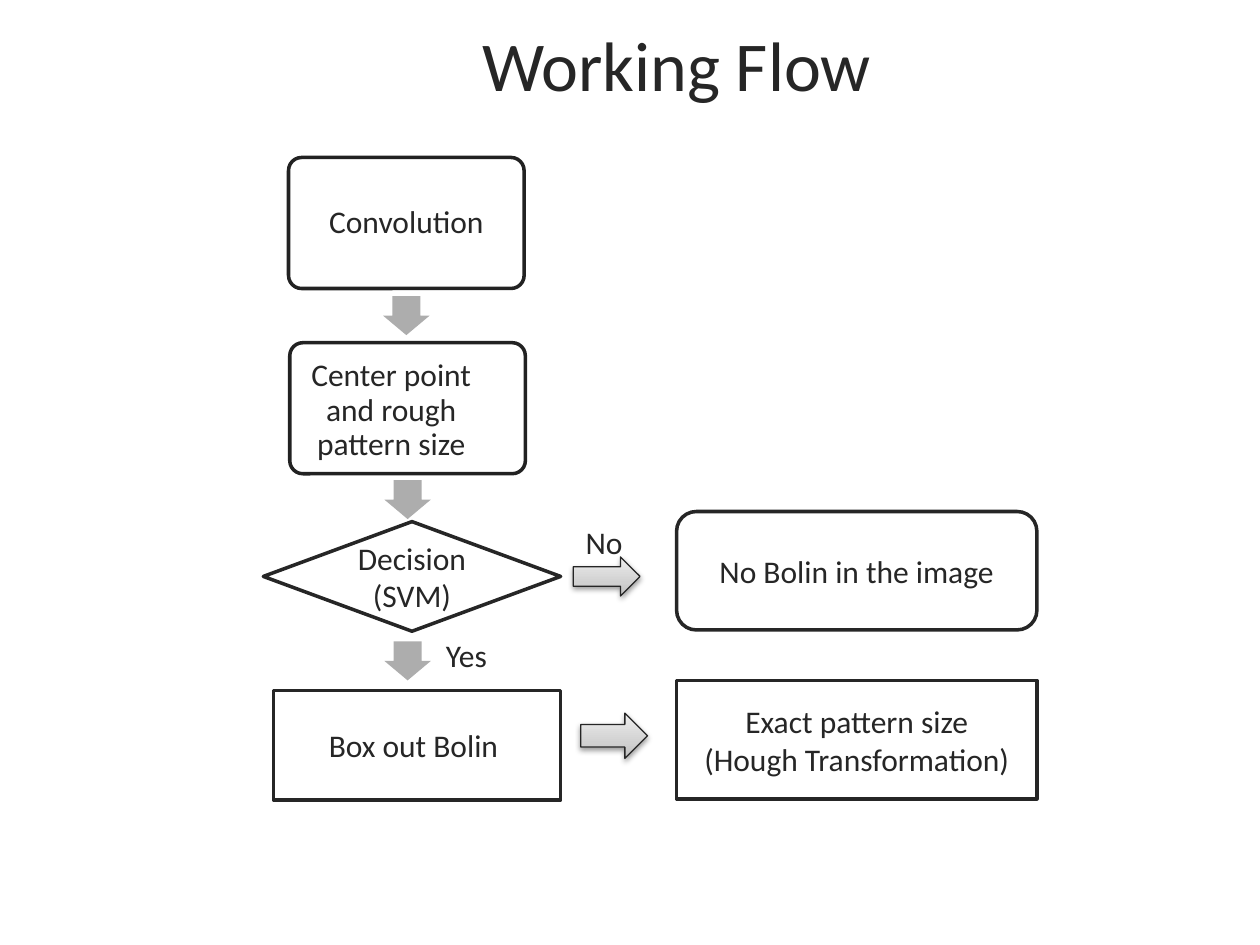
import pptx
import pptx.dml.color
import pptx.enum.shapes
import pptx.enum.text
import pptx.oxml
import pptx.oxml.ns
import pptx.util

RGBColor = pptx.dml.color.RGBColor
SHAPE = pptx.enum.shapes.MSO_SHAPE
ANCHOR = pptx.enum.text.MSO_ANCHOR
ALIGN = pptx.enum.text.PP_ALIGN

WHITE = RGBColor(0xFF, 0xFF, 0xFF)
INK = RGBColor(0x26, 0x26, 0x26)
STEP_LINE = RGBColor(0x22, 0x22, 0x22)
ARROW_LINE = RGBColor(0x25, 0x25, 0x25)
ARROW_GRAY = RGBColor(0xAD, 0xAD, 0xAD)
GRADIENT = ((0, RGBColor(0xBE, 0xBE, 0xBE)),
            (35, RGBColor(0xD1, 0xD1, 0xD1)),
            (100, RGBColor(0xEE, 0xEE, 0xEE)))

FONT = "Calibri"
EMU_PER_PX = 9144  # 100 px to the inch


def px(length):
    return pptx.util.Emu(length * EMU_PER_PX)


def write_text(frame, text, size=18, align=ALIGN.CENTER, anchor=ANCHOR.MIDDLE,
               spacing=None, insets=(10, 5, 10, 5)):
    """Fill a text frame, one paragraph for each line of the text."""
    frame.word_wrap = True
    frame.auto_size = pptx.enum.text.MSO_AUTO_SIZE.NONE
    frame.vertical_anchor = anchor
    (frame.margin_left, frame.margin_top,
     frame.margin_right, frame.margin_bottom) = map(px, insets)
    for index, line in enumerate(text.split("\n")):
        paragraph = frame.add_paragraph() if index else frame.paragraphs[0]
        paragraph.alignment = align
        paragraph.line_spacing = spacing
        run = paragraph.add_run()
        run.text = line
        run.font.name = FONT
        run.font.size = pptx.util.Pt(size)
        run.font.color.rgb = INK


class FlowSlide:
    def __init__(self, presentation):
        self.slide = presentation.slides.add_slide(presentation.slide_layouts[5])

    def title(self, text, left, top, width, height):
        title = self.slide.shapes.title
        title.left, title.top, title.width, title.height = map(
            px, (left, top, width, height))
        write_text(title.text_frame, text, size=40, anchor=ANCHOR.TOP)

    def shape(self, kind, left, top, width, height, fill=WHITE, line=INK, weight=2):
        shape = self.slide.shapes.add_shape(
            kind, *map(px, (left, top, width, height)))
        shape.shadow.inherit = False
        shape.fill.solid()
        shape.fill.fore_color.rgb = fill
        if line is None:
            shape.line.fill.background()
        else:
            shape.line.color.rgb = line
            shape.line.width = pptx.util.Pt(weight)
        return shape

    def box(self, kind, text, left, top, width, height):
        shape = self.shape(kind, left, top, width, height)
        write_text(shape.text_frame, text)

    def text(self, text, left, top, width, height, **style):
        box = self.slide.shapes.add_textbox(*map(px, (left, top, width, height)))
        write_text(box.text_frame, text, **style)

    def label(self, text, left, top):
        self.text(text, left, top, 53, 40, align=ALIGN.LEFT,
                  anchor=ANCHOR.TOP, insets=(10, 5, 0, 5))

    def step(self, text, left, top, text_left, text_top):
        shape = self.shape(SHAPE.ROUNDED_RECTANGLE, left, top, 187, 104,
                           line=STEP_LINE)
        shape.adjustments[0] = 0.1
        self.text(text, text_left, text_top, 181, 98, spacing=0.9,
                  insets=(7, 7, 7, 7))

    def down_arrow(self, left, top):
        arrow = self.shape(SHAPE.RIGHT_ARROW, left, top, 31, 37,
                           fill=ARROW_GRAY, line=None)
        arrow.rotation = 90
        arrow.adjustments[0] = 0.6
        arrow.adjustments[1] = 0.5

    def branch_arrow(self, left, top, width, height):
        arrow = self.shape(SHAPE.RIGHT_ARROW, left, top, width, height,
                           line=ARROW_LINE, weight=0.75)
        namespace = pptx.oxml.ns.nsdecls("a")
        properties = arrow.element.spPr
        # Three-stop gradient running upwards
        stops = "".join(
            f'<a:gs pos="{position * 1000}"><a:srgbClr val="{color}"/></a:gs>'
            for position, color in GRADIENT)
        gradient = pptx.oxml.parse_xml(
            f'<a:gradFill {namespace} rotWithShape="1"><a:gsLst>{stops}</a:gsLst>'
            '<a:lin ang="16200000" scaled="0"/></a:gradFill>')
        properties.replace(
            properties.find(pptx.oxml.ns.qn("a:solidFill")), gradient)
        # Soft shadow below
        shadow = pptx.oxml.parse_xml(
            f'<a:outerShdw {namespace} blurRad="40000" dist="20000" dir="5400000" '
            'rotWithShape="0"><a:srgbClr val="000000"><a:alpha val="38000"/>'
            '</a:srgbClr></a:outerShdw>')
        properties.find(pptx.oxml.ns.qn("a:effectLst")).append(shadow)


def main():
    presentation = pptx.Presentation()
    presentation.slide_width, presentation.slide_height = px(1000), px(750)
    flow = FlowSlide(presentation)
    flow.title("Working Flow", 100, 12, 874, 77)

    # Decision and outcomes
    flow.box(SHAPE.DIAMOND, "Decision\n(SVM)", 209, 414, 236, 87)
    flow.box(SHAPE.ROUNDED_RECTANGLE, "No Bolin in the image", 537, 406, 286, 94)
    flow.box(SHAPE.RECTANGLE, "Box out Bolin ", 217, 548, 228, 87)
    flow.box(SHAPE.RECTANGLE, "Exact pattern size\n(Hough Transformation)",
             537, 540, 286, 94)

    # First steps
    flow.step("Convolution", 229, 125, 232, 128)
    flow.step("Center point and rough pattern size", 230, 272, 220, 277)

    # Arrows and their labels
    for left, top in ((307, 232), (308, 378), (308, 506)):
        flow.down_arrow(left, top)
    flow.branch_arrow(455, 442, 53, 31)
    flow.branch_arrow(461, 566, 53, 36)
    flow.label("Yes", 344, 500)
    flow.label("No", 455, 410)

    presentation.save("out.pptx")


if __name__ == "__main__":
    main()
